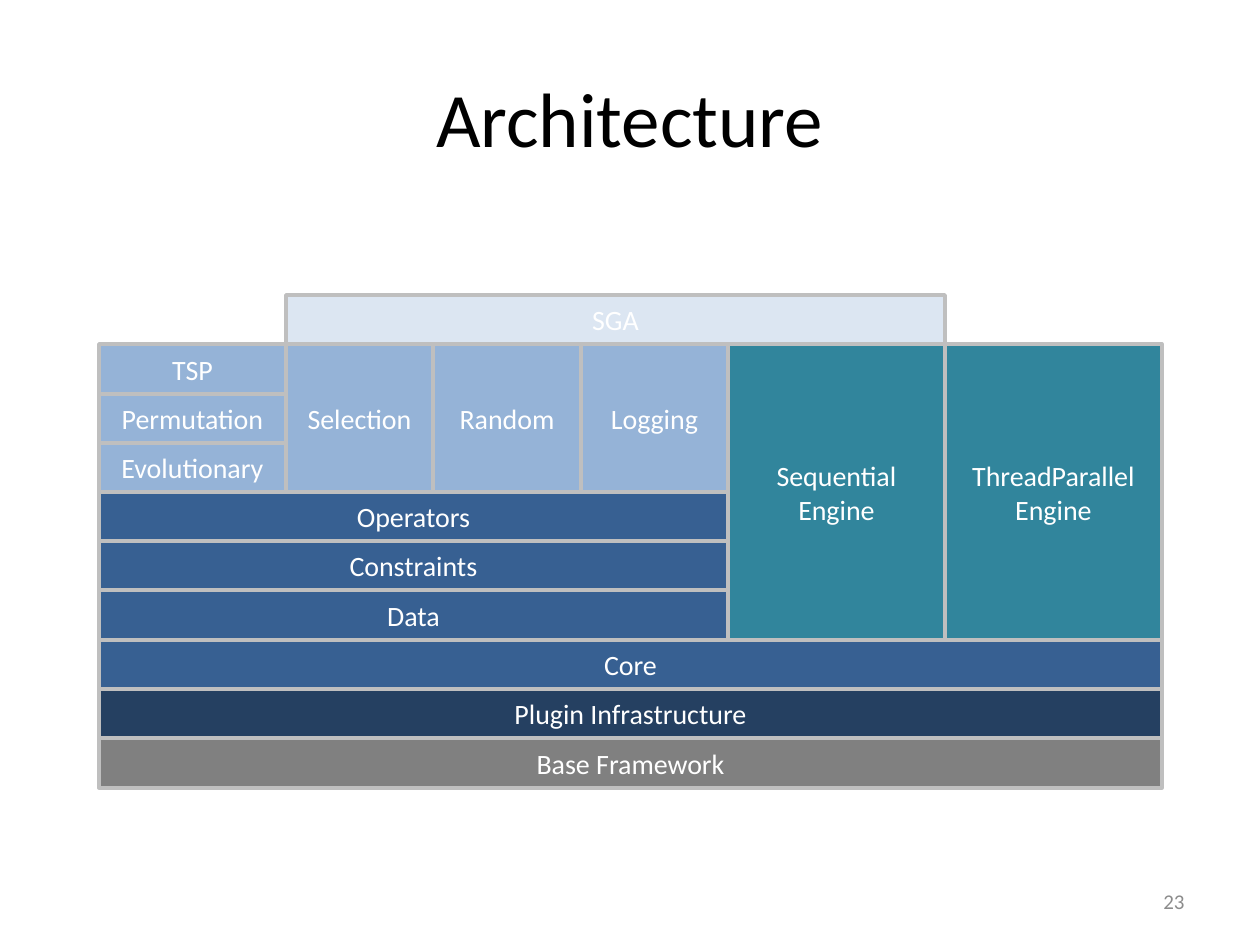
from pptx import Presentation
from pptx.dml.color import RGBColor as RGB
from pptx.enum.shapes import MSO_SHAPE as SHAPE
from pptx.enum.text import MSO_ANCHOR as ANCHOR, PP_ALIGN as ALIGN
from pptx.util import Pt

SCALE = 914400 / 126
COLORS = {
    "text": "000000", "number": "8C8C8C", "white": "FFFFFF", "border": "BFBFBF",
    "platform": "808080", "plugin": "254061", "core": "376092",
    "engine": "31859C", "operator": "95B3D7", "algorithm": "DCE6F2",
}


def px(*values):
    return [round(v * SCALE) for v in values]


def write(sp, text, size=16, color="white", align=ALIGN.CENTER):
    tf = sp.text_frame
    tf.word_wrap = True
    tf.vertical_anchor = ANCHOR.MIDDLE
    p = tf.paragraphs[0]
    p.text = text
    p.alignment = align
    for r in p.runs:
        r.font.name = "Calibri"
        r.font.size = Pt(size)
        r.font.color.rgb = RGB.from_string(COLORS[color])


prs = Presentation()
prs.slide_width, prs.slide_height = px(1260, 945)
s = prs.slides.add_slide(prs.slide_layouts[6])

write(s.shapes.add_textbox(*px(63, 38, 1134, 157)), "Architecture", size=44, color="text")

cols = [99, 286, 433, 581, 728, 945, 1162]
rows = [round(295 + i * 49.25) for i in range(11)]

blocks = [
    ("Base Framework", "platform", 0, 6, 9, 10),
    ("Plugin Infrastructure", "plugin", 0, 6, 8, 9),
    ("Core", "core", 0, 6, 7, 8),
    ("Data", "core", 0, 4, 6, 7),
    ("Constraints", "core", 0, 4, 5, 6),
    ("Operators", "core", 0, 4, 4, 5),
    ("Sequential\nEngine", "engine", 4, 5, 1, 7),
    ("ThreadParallel\nEngine", "engine", 5, 6, 1, 7),
    ("Selection", "operator", 1, 2, 1, 4),
    ("Logging", "operator", 3, 4, 1, 4),
    ("Evolutionary", "operator", 0, 1, 3, 4),
    ("Permutation", "operator", 0, 1, 2, 3),
    ("Random", "operator", 2, 3, 1, 4),
    ("TSP", "operator", 0, 1, 1, 2),
    ("SGA", "algorithm", 1, 5, 0, 1),
]
for text, fill, left, right, top, bottom in blocks:
    x, y = cols[left], rows[top]
    sp = s.shapes.add_shape(SHAPE.RECTANGLE, *px(x, y, cols[right] - x, rows[bottom] - y))
    sp.shadow.inherit = False
    sp.fill.solid()
    sp.fill.fore_color.rgb = RGB.from_string(COLORS[fill])
    sp.line.color.rgb = RGB.from_string(COLORS["border"])
    sp.line.width = Pt(2)
    write(sp, text)

write(s.shapes.add_textbox(*px(903, 876, 294, 50)), "23", size=12, color="number", align=ALIGN.RIGHT)

prs.save("out.pptx")
